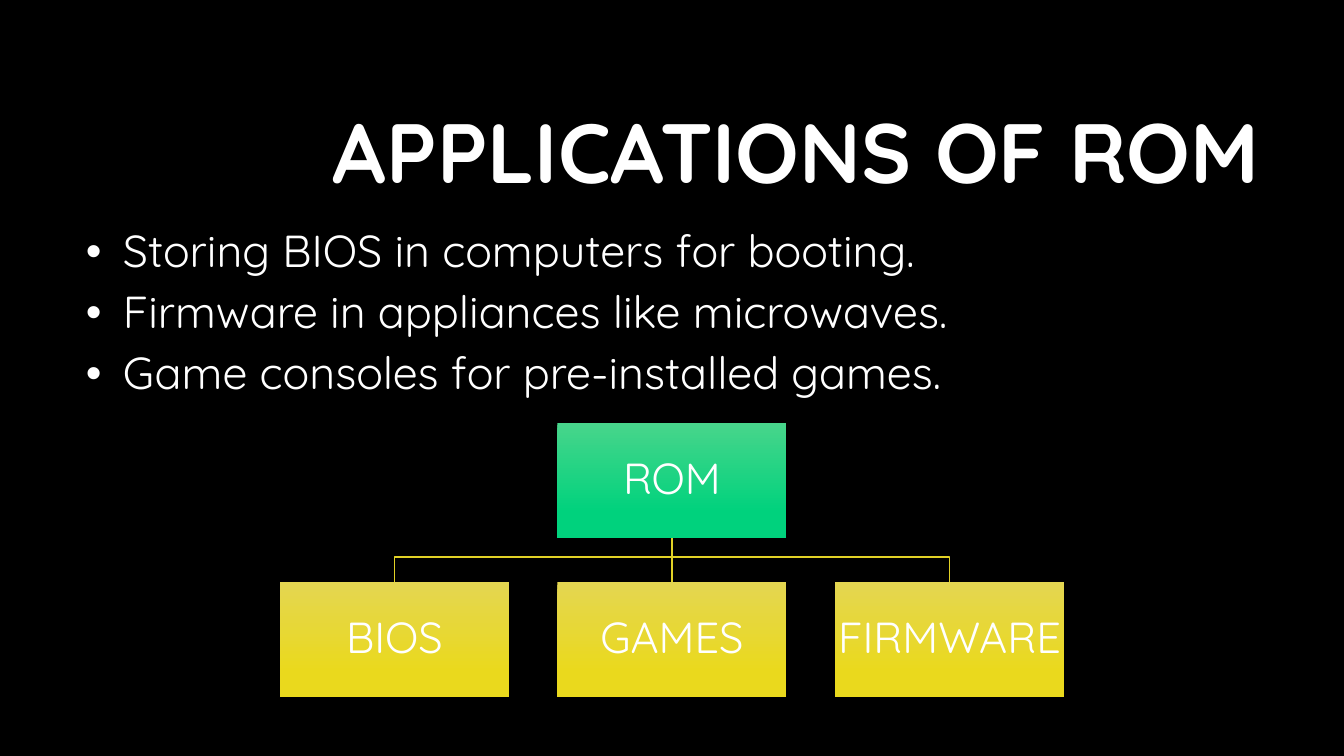
from lxml.etree import SubElement
from pptx import Presentation
from pptx.dml.color import RGBColor
from pptx.enum.shapes import MSO_SHAPE
from pptx.enum.text import MSO_ANCHOR, PP_ALIGN
from pptx.oxml.ns import qn
from pptx.util import Pt

COLORS = {
    "bg": "000000",
    "text": "FFFFFF",
    "line": "E1D126",
    "green": ("48D58B", "00D27D"),
    "yellow": ("E4D651", "EAD91D"),
}


def px(n):
    return round(n * 914400 / 100.8)


def style(p, size, align, bold=False):
    p.alignment = align
    p.line_spacing = 0.9
    for r in p.runs:
        r.font.name = "Quicksand"
        r.font.size = Pt(size)
        r.font.bold = bold
        r.font.color.rgb = RGBColor.from_string(COLORS["text"])


prs = Presentation()
prs.slide_width, prs.slide_height = px(1344), px(756)
s = prs.slides.add_slide(prs.slide_layouts[5])
s.background.fill.solid()
s.background.fill.fore_color.rgb = RGBColor.from_string(COLORS["bg"])

title = s.shapes.title
title.left, title.top, title.width, title.height = px(224), px(85), px(1045), px(142)
tf = title.text_frame
tf.text = "APPLICATIONS OF ROM"
tf.vertical_anchor = MSO_ANCHOR.MIDDLE
style(tf.paragraphs[0], 60, PP_ALIGN.RIGHT, True)

tf = s.shapes.add_textbox(px(76), px(229), px(1053), px(191)).text_frame
tf.word_wrap = True
tf.margin_left, tf.margin_top = px(10), 0
tf.text = "\n".join([
    "Storing BIOS in computers for booting.",
    "Firmware in appliances like microwaves.",
    "Game consoles for pre-installed games.",
])
for p in tf.paragraphs:
    style(p, 32, PP_ALIGN.LEFT)
    p.space_after = Pt(9)
    pPr = p._p.get_or_add_pPr()
    pPr.set("marL", str(px(37)))
    pPr.set("indent", str(-px(37)))
    SubElement(pPr, qn("a:buFont")).set("typeface", "Arial")
    SubElement(pPr, qn("a:buChar")).set("char", "•")

box_w, box_h, pitch = 229, 115, 277.5
mid, root_top, bend, child_top = 672, 423, 557, 582
root_bottom = root_top + box_h
children = [(mid + i * pitch, name) for i, name in enumerate(["BIOS", "GAMES", "FIRMWARE"], -1)]

for x, name in reversed(children):
    fb = s.shapes.build_freeform(px(mid), px(root_bottom))
    fb.add_line_segments(
        [(px(mid), px(bend)), (px(x), px(bend)), (px(x), px(child_top))], close=False
    )
    link = fb.convert_to_shape()
    link.shadow.inherit = False
    link.fill.background()
    link.line.color.rgb = RGBColor.from_string(COLORS["line"])
    link.line.width = Pt(1)

boxes = [(mid, root_top, "ROM", "green")]
boxes += [(x, child_top, name, "yellow") for x, name in children]
for x, y, name, color in boxes:
    sp = s.shapes.add_shape(MSO_SHAPE.RECTANGLE, px(x - box_w / 2), px(y), px(box_w), px(box_h))
    sp.shadow.inherit = False
    sp.line.fill.background()
    sp.fill.gradient()
    sp.fill.gradient_angle = 270
    for stop, position, rgb in zip(sp.fill.gradient_stops, (0, 0.78), COLORS[color]):
        stop.position = position
        stop.color.rgb = RGBColor.from_string(rgb)
    tf = sp.text_frame
    tf.margin_left = tf.margin_right = tf.margin_top = tf.margin_bottom = px(2)
    tf.vertical_anchor = MSO_ANCHOR.MIDDLE
    tf.text = name
    style(tf.paragraphs[0], 31, PP_ALIGN.CENTER)

prs.save("out.pptx")
